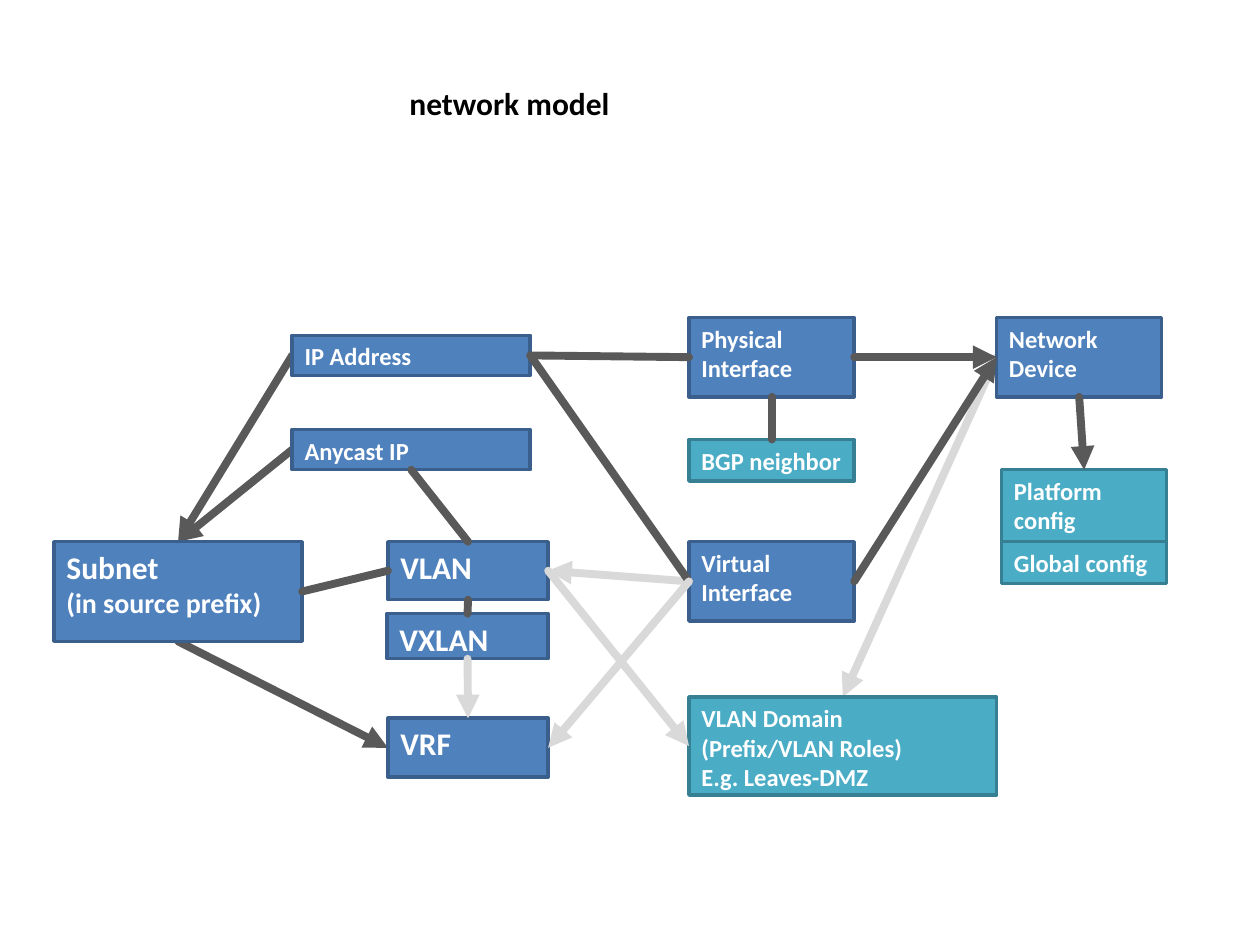
from lxml.etree import SubElement
from pptx import Presentation
from pptx.dml.color import RGBColor
from pptx.enum.shapes import MSO_CONNECTOR as Connector, MSO_SHAPE as Shape
from pptx.enum.text import MSO_ANCHOR as Anchor, MSO_AUTO_SIZE as AutoSize, PP_ALIGN as Align
from pptx.oxml.ns import qn
from pptx.util import Cm, Pt

BLUE, TEAL = ("4F81BD", "3A5F8C"), ("4BACC6", "377F92")
DARK, LIGHT = "595959", "D9D9D9"
TOP, LEFT, BOTTOM, RIGHT = range(4)  # connection sites of a rectangle

SUBNET_X, ADDRESS_X, VLAN_X, INTERFACE_X, DEVICE_X, CONFIG_X = 1.09, 5.89, 7.82, 13.89, 20.09, 20.19
ROW_1, ROW_2 = 6.4, 10.92
ADDRESS_SIZE, INTERFACE_SIZE = (4.8, 0.81), (3.33, 1.6)

# name: (left, top), (width, height), colours, [(line, text size)]
BOXES = {
    "virtual": ((INTERFACE_X, ROW_2), INTERFACE_SIZE, BLUE, [("Virtual", 14), ("Interface", 14)]),
    "address": ((ADDRESS_X, 6.76), ADDRESS_SIZE, BLUE, [("IP Address", 14)]),
    "subnet": ((SUBNET_X, ROW_2), (5, 2.01), BLUE, [("Subnet", 18), ("(in source prefix)", 16)]),
    "anycast": ((ADDRESS_X, 8.66), ADDRESS_SIZE, BLUE, [("Anycast IP", 14)]),
    "vlan": ((VLAN_X, ROW_2), (3.23, 1.17), BLUE, [("VLAN", 18)]),
    "vrf": ((VLAN_X, 14.48), (3.23, 1.19), BLUE, [("VRF", 18)]),
    "device": ((DEVICE_X, ROW_1), INTERFACE_SIZE, BLUE, [("Network", 14), ("Device", 14)]),
    "physical": ((INTERFACE_X, ROW_1), INTERFACE_SIZE, BLUE, [("Physical", 14), ("Interface", 14)]),
    "vxlan": ((7.8, 12.37), (3.25, 0.91), BLUE, [("VXLAN", 18)]),
    "bgp": ((INTERFACE_X, 8.86), (3.33, 0.84), TEAL, [("BGP neighbor", 14)]),
    "platform": ((CONFIG_X, 9.47), (3.33, 1.45), TEAL, [("Platform config", 14)]),
    "global": ((CONFIG_X, ROW_2), (3.33, 0.84), TEAL, [("Global config", 14)]),
    "domain": ((INTERFACE_X, 14.05), (6.2, 1.98), TEAL,
               [("VLAN Domain", 14), ("(Prefix/VLAN Roles)", 14), ("E.g. Leaves-DMZ", 14)]),
}

# start box, site, end box, site, colour, has arrowhead
LINKS_BEHIND = [
    ("device", LEFT, "domain", TOP, LIGHT, True),
    ("anycast", LEFT, "subnet", TOP, DARK, True),
    ("address", LEFT, "subnet", TOP, DARK, True),
    ("subnet", BOTTOM, "vrf", LEFT, DARK, True),
]
LINKS_IN_FRONT = [
    ("virtual", LEFT, "vlan", RIGHT, LIGHT, True),
    ("address", RIGHT, "virtual", LEFT, DARK, False),
    ("subnet", RIGHT, "vlan", LEFT, DARK, False),
    ("virtual", LEFT, "vrf", RIGHT, LIGHT, True),
    ("address", RIGHT, "physical", LEFT, DARK, False),
    ("physical", RIGHT, "device", LEFT, DARK, True),
    ("virtual", RIGHT, "device", LEFT, DARK, True),
    ("physical", BOTTOM, "bgp", TOP, DARK, False),
    ("device", BOTTOM, "platform", TOP, DARK, True),
    ("vlan", RIGHT, "domain", LEFT, LIGHT, True),
    ("vxlan", BOTTOM, "vrf", TOP, LIGHT, True),
    ("anycast", BOTTOM, "vlan", TOP, DARK, False),
    ("vlan", BOTTOM, "vxlan", TOP, DARK, False),
]


def color(value):
    return RGBColor.from_string(value)


def set_attributes(target, values):
    for name, value in values.items():
        setattr(target, name, value)


def write_lines(frame, lines, text_color):
    for index, (text, size) in enumerate(lines):
        paragraph = frame.add_paragraph() if index else frame.paragraphs[0]
        paragraph.alignment = Align.LEFT
        run = paragraph.add_run()
        run.text = text
        set_attributes(run.font, {"name": "Calibri", "size": Pt(size), "bold": True})
        run.font.color.rgb = color(text_color)


def add_title(slide, text):
    title = slide.shapes.title
    set_attributes(title, {"left": Cm(8), "top": Cm(1.57), "width": Cm(4.57), "height": Cm(1.02)})
    set_attributes(title.text_frame, {"word_wrap": False, "vertical_anchor": Anchor.TOP,
                                      "auto_size": AutoSize.SHAPE_TO_FIT_TEXT})
    write_lines(title.text_frame, [(text, 18)], "000000")


def add_box(slide, position, size, colors, lines):
    box = slide.shapes.add_shape(Shape.RECTANGLE, *map(Cm, position + size))
    fill, outline = colors
    box.shadow.inherit = False
    box.fill.solid()
    box.fill.fore_color.rgb = color(fill)
    box.line.color.rgb = color(outline)
    box.line.width = Pt(2)
    set_attributes(box.text_frame, {"word_wrap": True, "vertical_anchor": Anchor.TOP})
    write_lines(box.text_frame, lines, "FFFFFF")
    return box


def add_link(slide, boxes, start, start_site, end, end_site, line_color, has_arrow):
    link = slide.shapes.add_connector(Connector.STRAIGHT, 0, 0, 0, 0)
    link.begin_connect(boxes[start], start_site)
    link.end_connect(boxes[end], end_site)
    link.line.color.rgb = color(line_color)
    link.line.width = Pt(4.5)
    outline = link.line._get_or_add_ln()
    outline.set("cap", "rnd")
    SubElement(outline, qn("a:round"))
    if has_arrow:
        SubElement(outline, qn("a:tailEnd"), type="triangle")
    SubElement(link._element.spPr, qn("a:effectLst"))
    return link


def main():
    presentation = Presentation()
    set_attributes(presentation, {"slide_width": Cm(25.4), "slide_height": Cm(19.05)})
    slide = presentation.slides.add_slide(presentation.slide_layouts[5])
    add_title(slide, "network model")
    boxes = {name: add_box(slide, *values) for name, values in BOXES.items()}
    first_box = boxes["virtual"]._element
    for link in LINKS_BEHIND:
        first_box.addprevious(add_link(slide, boxes, *link)._element)
    for link in LINKS_IN_FRONT:
        add_link(slide, boxes, *link)
    presentation.save("out.pptx")


if __name__ == "__main__":
    main()
